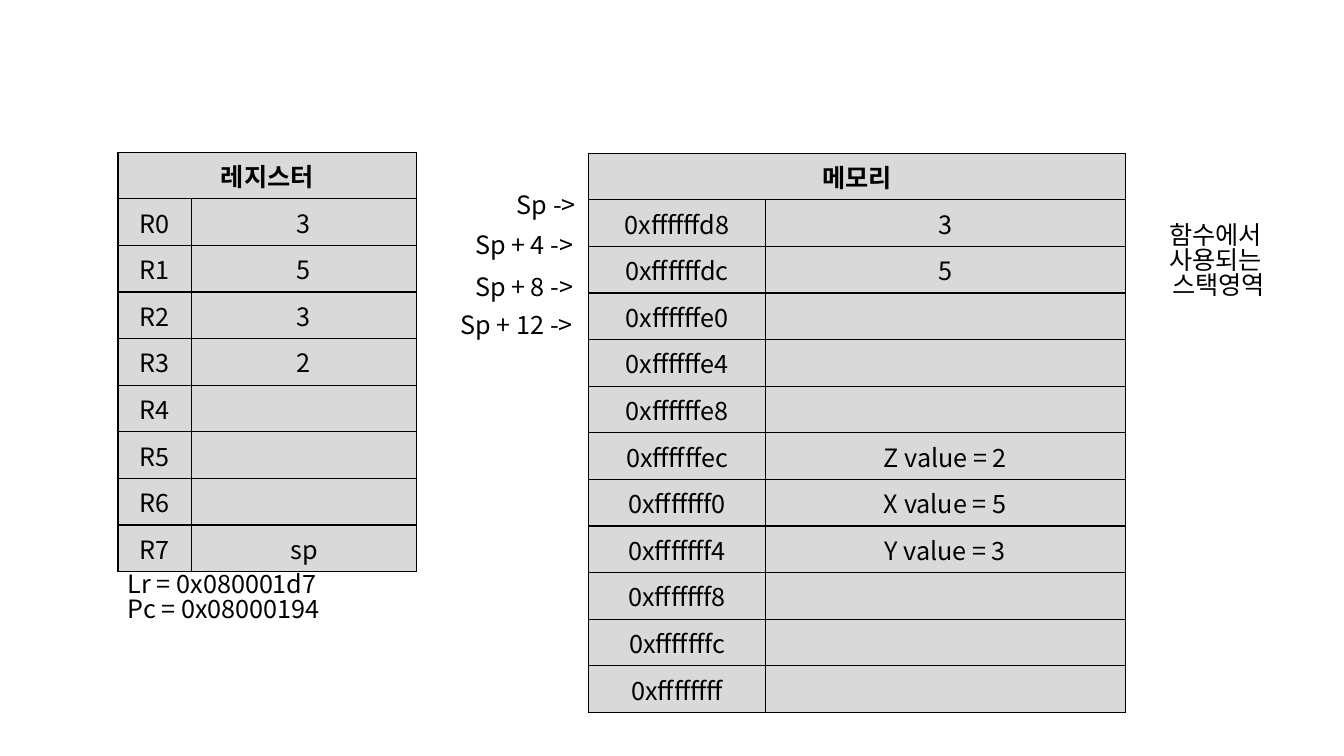
from dataclasses import dataclass

from lxml.etree import SubElement
from pptx import Presentation
from pptx.dml.color import RGBColor
from pptx.enum.text import MSO_ANCHOR, MSO_AUTO_SIZE, PP_ALIGN
from pptx.oxml.ns import qn
from pptx.util import Inches, Pt

FONT = "Noto Sans CJK KR"
COLORS = {"ink": "000000", "cell": "D9D9D9"}
ROW_HEIGHT = 0.41


@dataclass
class Grid:
    title: str
    left: float
    top: float
    widths: tuple[float, float]
    rows: list[tuple[str, str]]


@dataclass
class Label:
    text: str
    left: float
    top: float
    width: float
    height: float = 0.4
    align: PP_ALIGN = PP_ALIGN.CENTER


def format_text(tf, align: PP_ALIGN, bold: bool = False) -> None:
    for p in tf.paragraphs:
        p.alignment = align
        for r in p.runs:
            r.font.size = Pt(18)
            r.font.bold = bold
            r.font.name = FONT
            r.font.color.rgb = RGBColor.from_string(COLORS["ink"])
            SubElement(r.font._element, qn("a:ea")).set("typeface", FONT)


def add_borders(cell) -> None:
    tcPr = cell._tc.get_or_add_tcPr()
    for i, side in enumerate(("lnL", "lnR", "lnT", "lnB")):
        ln = tcPr.makeelement(qn(f"a:{side}"), {"w": str(Pt(1))})
        fill = SubElement(ln, qn("a:solidFill"))
        SubElement(fill, qn("a:srgbClr")).set("val", COLORS["ink"])
        tcPr.insert(i, ln)


def add_grid(s, grid: Grid) -> None:
    rows = [(grid.title, ""), *grid.rows]
    table = s.shapes.add_table(
        len(rows), 2, Inches(grid.left), Inches(grid.top),
        Inches(sum(grid.widths)), Inches(ROW_HEIGHT * len(rows)),
    ).table
    for column, width in zip(table.columns, grid.widths):
        column.width = Inches(width)
    table.cell(0, 0).merge(table.cell(0, 1))
    for i, row in enumerate(rows):
        table.rows[i].height = Inches(ROW_HEIGHT)
        for j, text in enumerate(row):
            cell = table.cell(i, j)
            cell.text_frame.text = text
            cell.vertical_anchor = MSO_ANCHOR.MIDDLE
            cell.fill.solid()
            cell.fill.fore_color.rgb = RGBColor.from_string(COLORS["cell"])
            format_text(cell.text_frame, PP_ALIGN.CENTER, bold=i == 0)
            add_borders(cell)


def add_label(s, label: Label) -> None:
    sp = s.shapes.add_textbox(
        Inches(label.left), Inches(label.top), Inches(label.width), Inches(label.height)
    )
    tf = sp.text_frame
    tf.word_wrap = True
    tf.auto_size = MSO_AUTO_SIZE.SHAPE_TO_FIT_TEXT
    tf.text = label.text
    format_text(tf, label.align)
    for p in tf.paragraphs:
        p.line_spacing = 0.82


REGISTER_VALUES = ["3", "5", "3", "2", "", "", "", "sp"]
MEMORY_VALUES = ["3", "5", "", "", "", "Z value = 2", "X value = 5", "Y value = 3", "", ""]
FIRST_ADDRESS = 0xFFFFFFD8

registers = Grid("레지스터", 1.17, 1.51, (0.73, 2.23),
                 [(f"R{i}", value) for i, value in enumerate(REGISTER_VALUES)])
memory = Grid("메모리", 5.84, 1.52, (1.75, 3.57),
              [(f"0x{FIRST_ADDRESS + 4 * i:08x}", value)
               for i, value in enumerate(MEMORY_VALUES)] + [("0xffffffff", "")])
labels = [
    Label("Sp ->", 4.92, 1.88, 1),
    Label("Sp + 4 ->", 4.45, 2.28, 1.5),
    Label("Sp + 8 ->", 4.45, 2.7, 1.5),
    Label("Sp + 12 ->", 4.29, 3.07, 1.67),
    Label("Lr = 0x080001d7\nPc = 0x08000194", 1.17, 5.64, 2.71, 0.71, PP_ALIGN.LEFT),
    Label("함수에서 \n사용되는 \n스택영역", 10.55, 2.18, 3.07, 1.01),
]

prs = Presentation()
prs.slide_width = Inches(13.33)
prs.slide_height = Inches(7.5)
s = prs.slides.add_slide(prs.slide_layouts[6])
for grid in (registers, memory):
    add_grid(s, grid)
for label in labels:
    add_label(s, label)
prs.save("out.pptx")
